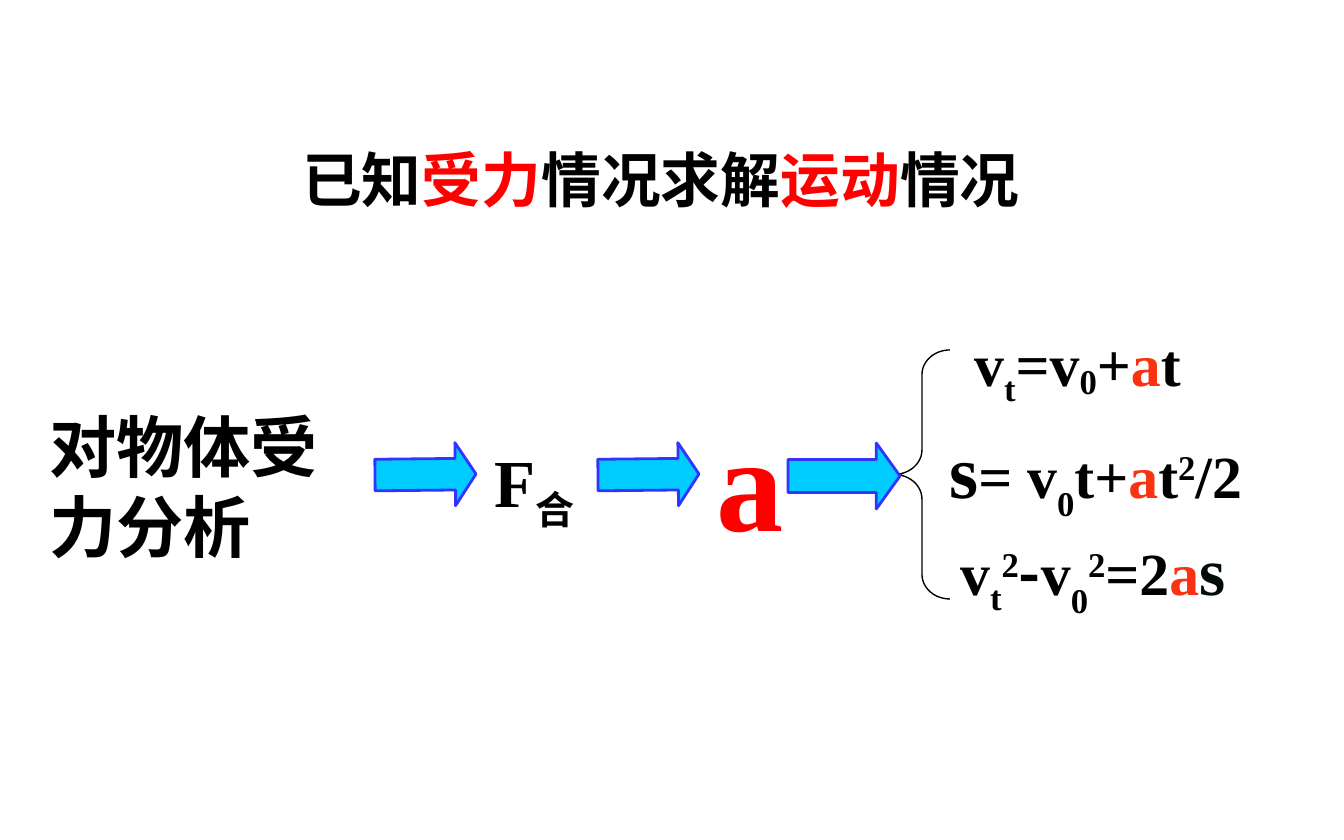
"""Build a slide on finding motion from known forces."""
from lxml import etree
from pptx import Presentation
from pptx.dml.color import RGBColor
from pptx.enum.shapes import MSO_SHAPE
from pptx.enum.text import PP_ALIGN
from pptx.oxml.ns import qn
from pptx.util import Emu, Pt

BRACE, ARROW = MSO_SHAPE.LEFT_BRACE, MSO_SHAPE.LEFT_ARROW
LEFT, MID = PP_ALIGN.LEFT, PP_ALIGN.CENTER
SCALE = 914400 / 134.4
SERIF, SANS = "Times New Roman", "Arial"
HAN, DASH = "Noto Sans CJK JP", "Noto Sans CJK SC"
BLACK, RED, WARM, DARK = "000000", "FF0000", "F93211", "000C0C"
CYAN, BLUE = "00CCFF", "3333FF"

A = ("a", {"color": WARM})
FORCE = {"at": (481, 434, 145, 95), "size": 36,
         "runs": [("F", {}), ("合", {"base": -25})]}
LAWS = [
    {"at": (961, 320, 313, 86), "size": 32,
     "runs": [("v", {}), ("t", {"base": -25}), ("=v", {}),
              ("0", {"base": -14}), ("+", {}), A, ("t", {})]},
    {"at": (936, 417, 370, 103), "size": 32,
     "runs": [("s", {"size": 40}), ("= v", {}), ("0", {"base": -30}),
              ("t+", {}), A, ("t", {}), ("2", {"base": 30}), ("/2", {})]},
    {"at": (947, 522, 347, 95), "size": 32,
     "runs": [("v", {}), ("t", {"base": -25}), ("2", {"base": 30}),
              ("-", {"name": DASH}), ("v", {}), ("0", {"base": -30}),
              ("2", {"base": 30}), ("=2", {}), A,
              ("s", {"size": 36, "color": DARK})]},
]
ACCEL = {"at": (703, 391, 95, 176), "size": 72, "wrap": False,
         "runs": [("a", {"color": RED})]}
TITLE = {"at": (157, 137, 1008, 86), "size": 32, "align": MID,
         "name": HAN, "pitch": 38,
         "runs": [("已知", {}), ("受力", {"color": RED}), ("情况求解", {}),
                  ("运动", {"color": RED}), ("情况", {})]}
START = {"at": (36, 399, 313, 176), "size": 36,
         "name": SANS, "pitch": 43, "runs": [("对物体受力分析", {})]}
CURVE = {"at": (894, 350, 56, 249), "kind": BRACE, "adj": (0.44, 0.5),
         "line": BLACK, "width": 0.75}
LOOK = {"kind": ARROW, "fill": CYAN, "line": BLUE, "width": 1.5}
ARROWS = [
    {"at": (598, 443, 101, 63), "turn": 179.4, "adj": (0.5, 0.33)},
    {"at": (788, 443, 112, 66), "turn": 180, "adj": (0.5, 0.36)},
    {"at": (375, 443, 101, 63), "turn": 179.4, "adj": (0.5, 0.33)},
]


def px(n):
    return Emu(round(n * SCALE))


def tint(code):
    return RGBColor.from_string(code)


def write(shapes, item):
    frame = shapes.add_textbox(*map(px, item["at"])).text_frame
    frame.word_wrap = item.get("wrap", True)
    para = frame.paragraphs[0]
    para.alignment = item.get("align", LEFT)
    if "pitch" in item:
        para.line_spacing = Pt(item["pitch"])
    for text, own in item["runs"]:
        run = para.add_run()
        run.text = text
        look = {"name": item.get("name", SERIF), "bold": True,
                "size": item["size"], "color": BLACK, **own}
        font = run.font
        font.color.rgb = tint(look.pop("color"))
        base = look.pop("base", 0)
        look["size"] = Pt(look["size"])
        for key, val in look.items():
            setattr(font, key, val)
        props = run._r.get_or_add_rPr()
        if base:
            props.set("baseline", str(base * 1000))
        etree.SubElement(props, qn("a:ea")).set("typeface", HAN)


def draw(shapes, item):
    shape = shapes.add_shape(item["kind"], *map(px, item["at"]))
    shape.shadow.inherit = False
    shape.rotation = item.get("turn", 0)
    for i, val in enumerate(item["adj"]):
        shape.adjustments[i] = val
    if "fill" in item:
        shape.fill.solid()
        shape.fill.fore_color.rgb = tint(item["fill"])
    else:
        shape.fill.background()
    shape.line.color.rgb = tint(item["line"])
    shape.line.width = Pt(item["width"])


def main():
    deck = Presentation()
    deck.slide_width, deck.slide_height = px(1344), px(840)
    shapes = deck.slides.add_slide(deck.slide_layouts[6]).shapes
    write(shapes, FORCE)
    group = shapes.add_group_shape().shapes
    draw(group, CURVE)
    for law in LAWS:
        write(group, law)
    write(shapes, ACCEL)
    for arrow in ARROWS:
        draw(shapes, {**LOOK, **arrow})
    write(shapes, TITLE)
    write(shapes, START)
    deck.save("out.pptx")


if __name__ == "__main__":
    main()
